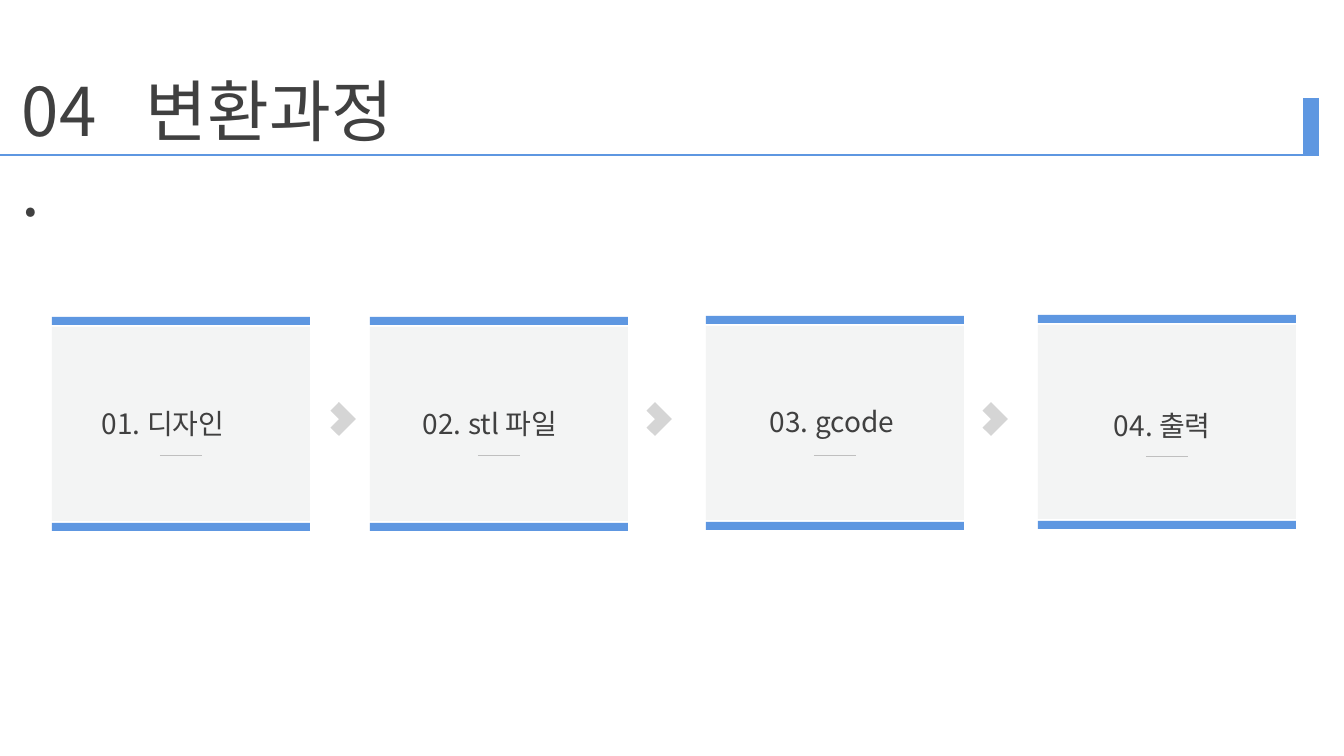
"""Build the slide that shows the four steps of the conversion process."""
from dataclasses import dataclass

from pptx import Presentation
from pptx.dml.color import RGBColor
from pptx.enum.shapes import MSO_CONNECTOR as Connector, MSO_SHAPE as Shape
from pptx.oxml.ns import qn
from pptx.util import Emu, Pt
from lxml.etree import SubElement

EMU_PER_PX = 914400 / 100.8


@dataclass(frozen=True)
class Theme:
    """Hold the colours, font and type sizes."""
    accent: str = "5E97E1"
    card: str = "ECEDEE"
    arrow: str = "D5D5D5"
    rule: str = "BFBFBF"
    text: str = "404040"
    font: str = "Noto Sans CJK KR"
    title_size: int = 48
    label_size: int = 20


@dataclass(frozen=True)
class Step:
    """Describe a card's corner and the place of its label and rule within it."""
    left: int
    top: int
    label: str
    label_left: int
    label_top: int
    label_width: int
    rule_top: int


THEME = Theme()
CARD_WIDTH, CARD_HEIGHT, BAR_HEIGHT = 258, 214, 8
STEPS = [
    Step(52, 317, "01. 디자인", 40, 85, 152, 139),
    Step(370, 317, "02. stl 파일", 43, 85, 162, 139),
    Step(706, 316, "03. gcode", 54, 84, 147, 140),
    Step(1038, 315, "04. 출력", 66, 89, 124, 142),
]
ARROW_LEFTS = [327, 643, 979]


def px(*lengths):
    """Turn px lengths into EMU."""
    return [Emu(round(length * EMU_PER_PX)) for length in lengths]


def add_block(slide, kind, box, color, opacity=100, rotation=0):
    """Add a filled shape without outline."""
    shape = slide.shapes.add_shape(kind, *px(*box))
    shape.shadow.inherit = False
    shape.rotation = rotation
    shape.line.fill.background()
    shape.fill.solid()
    shape.fill.fore_color.rgb = RGBColor.from_string(color)
    if opacity < 100:
        color_element = shape._element.spPr.find(qn("a:solidFill"))[0]
        SubElement(color_element, qn("a:alpha"), val=str(opacity * 1000))


def add_rule(slide, ends, color, width):
    """Add a straight line between two points."""
    line = slide.shapes.add_connector(Connector.STRAIGHT, *px(*ends))
    line.line.color.rgb = RGBColor.from_string(color)
    line.line.width = Pt(width)
    SubElement(line._element.spPr, qn("a:effectLst"))


def add_text(slide, text, box, size, color=THEME.text, wrap=False):
    """Add a one-paragraph text box."""
    frame = slide.shapes.add_textbox(*px(*box)).text_frame
    frame.word_wrap = wrap
    run = frame.paragraphs[0].add_run()
    run.text = text
    run.font.size = Pt(size)
    run.font.name = THEME.font
    run.font.color.rgb = RGBColor.from_string(color)
    properties = run._r.get_or_add_rPr()
    SubElement(properties, qn("a:ea"), typeface=THEME.font)


def add_header(slide, left, top, width, height):
    """Place the section number, title, underline and end mark."""
    bottom = top + height
    add_text(slide, "04.", (left + 12, top, 110, height), THEME.title_size, wrap=True)
    add_text(slide, "변환과정", (left + 136, top, 291, height), THEME.title_size)
    add_rule(slide, (left, bottom, left + width, bottom), THEME.accent, 1.75)
    mark = left + width - 8
    add_rule(slide, (mark, bottom - 57, mark, bottom + 1), THEME.accent, 12)


def add_card(slide, step):
    """Place one step with its bars, label and short rule."""
    left, top = step.left, step.top
    body = (left, top + 10, CARD_WIDTH, CARD_HEIGHT - 20)
    add_block(slide, Shape.RECTANGLE, body, THEME.card, opacity=60)
    for bar_top in (top, top + CARD_HEIGHT - BAR_HEIGHT):
        add_block(slide, Shape.RECTANGLE, (left, bar_top, CARD_WIDTH, BAR_HEIGHT), THEME.accent)
    label_box = (left + step.label_left, top + step.label_top, step.label_width, 44)
    add_text(slide, step.label, label_box, THEME.label_size)
    rule_left, rule_top = left + 108, top + step.rule_top
    add_rule(slide, (rule_left, rule_top, rule_left + 42, rule_top), THEME.rule, 0.75)


def add_process(slide):
    """Place the cards and the arrows between them."""
    for step in STEPS:
        add_card(slide, step)
    for left in ARROW_LEFTS:
        add_block(slide, Shape.CORNER, (left, 407, 24, 24), THEME.arrow, rotation=225)


def main():
    """Build and save the presentation."""
    presentation = Presentation()
    presentation.slide_width, presentation.slide_height = px(1344, 756)
    slide = presentation.slides.add_slide(presentation.slide_layouts[6])
    add_header(slide, 0, 64, 1319, 91)
    add_process(slide)
    presentation.save("out.pptx")


if __name__ == "__main__":
    main()
